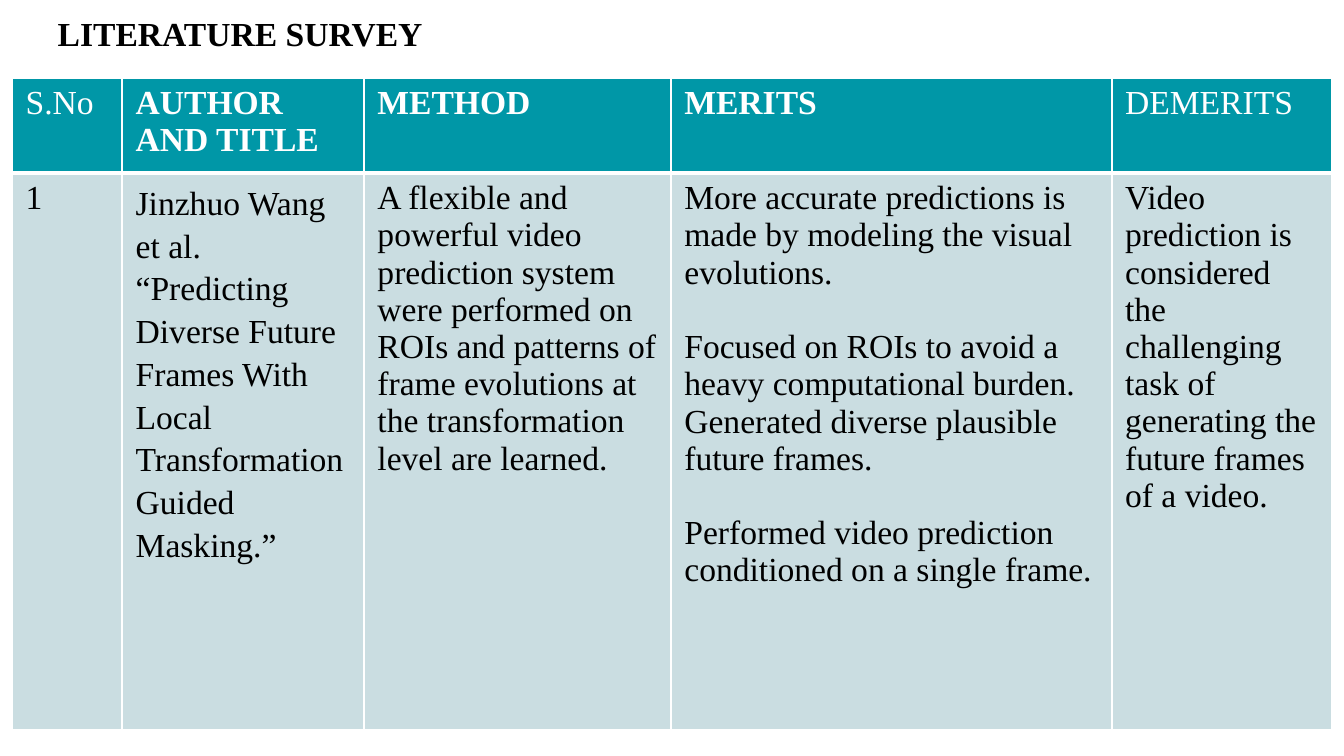
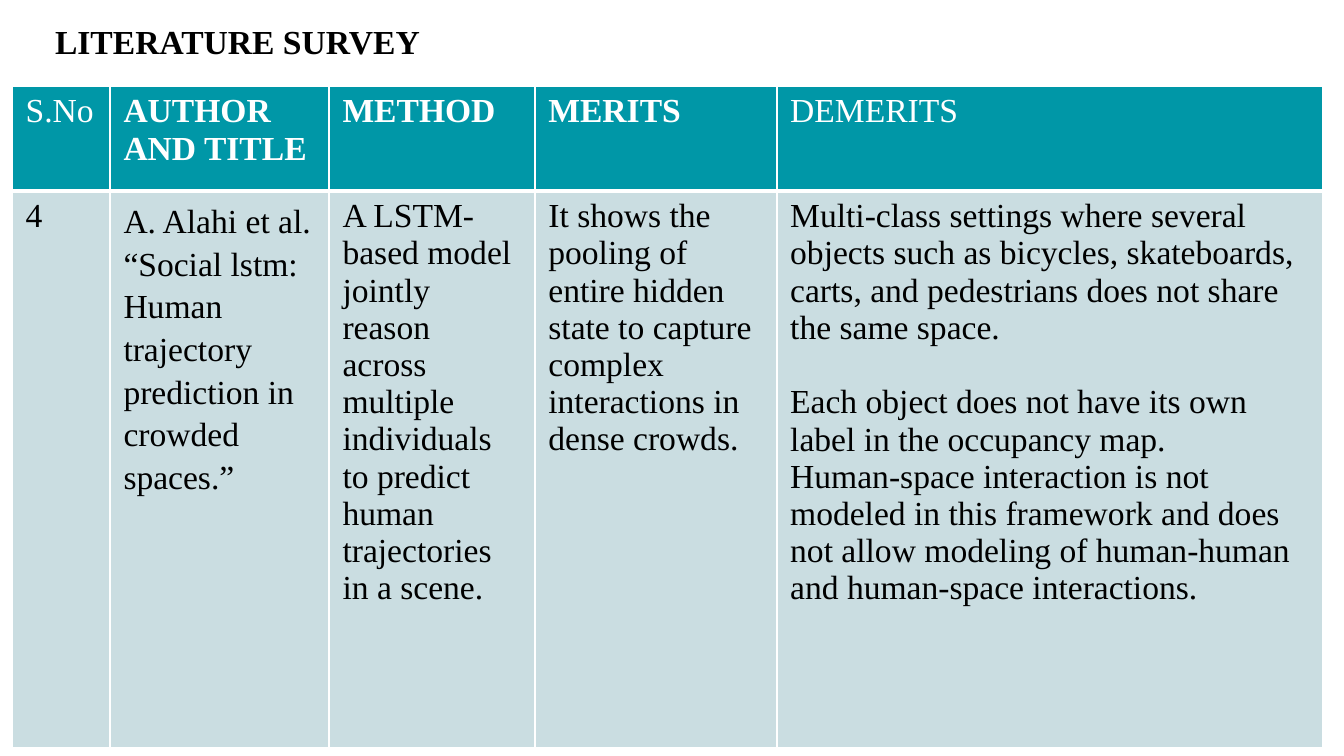
from pptx import Presentation
from pptx.dml.color import RGBColor
from pptx.enum.text import MSO_ANCHOR, MSO_AUTO_SIZE, PP_ALIGN
from pptx.oxml import parse_xml
from pptx.oxml.ns import nsdecls
from pptx.util import Cm, Pt

INK = {"text": "000000", "light": "FFFFFF", "head": "0097A7", "body": "CADDE1"}
FONT = "Times New Roman"
SIZE = Pt(18)
GAP = Pt(20)
LEFT = Cm(0.23)
INSET = Cm(0.25)
DEEP = Cm(10.52)
TITLE = "LITERATURE SURVEY"
# Column heading and whether it is bold
HEADS = [
    ("S.No", False),
    ("AUTHOR AND TITLE", True),
    ("METHOD", True),
    ("MERITS", True),
    ("DEMERITS", False),
]
AUTHOR = 1

# In a cell, one line break starts a paragraph and two start a spaced block.
PAGES = [
    {
        "title": (0.84, 0, 23.67, 1.04),
        "top": 1.47,
        "head": 1.8,
        "cols": (2.08, 4.57, 5.8, 8.33, 4.15),
        "cells": [
            "1",
            "Jinzhuo Wang et al.\n"
            "“Predicting Diverse Future Frames With Local "
            "Transformation Guided Masking.”",
            "A flexible and powerful video prediction system were performed "
            "on ROIs and patterns of frame evolutions at\n"
            "the transformation level are learned.",
            "More accurate predictions is made by modeling the visual "
            "evolutions.\n\n"
            "Focused on ROIs to avoid a heavy computational burden.\n"
            "Generated diverse plausible future frames.\n\n"
            "Performed video prediction conditioned on a single frame.",
            "Video prediction is considered the challenging task of "
            "generating the future frames of a video.",
        ],
    },
    {
        "title": (0.79, 0.15, 23.67, 1.19),
        "top": 1.63,
        "head": 1.98,
        "cols": (1.85, 4.14, 3.89, 4.57, 10.31),
        "cells": [
            "4",
            "A. Alahi et al. “Social lstm: Human trajectory prediction in "
            "crowded spaces.”",
            "A LSTM-based model jointly reason across multiple individuals "
            "to predict human trajectories in a scene.",
            "It shows the pooling of entire hidden state to capture complex "
            "interactions in dense crowds.",
            "Multi-class settings where several objects such as bicycles, "
            "skateboards, carts, and pedestrians does not share the same "
            "space.\n\n"
            "Each object does not have its own label in the occupancy map.\n"
            "Human-space interaction is not modeled in this framework and "
            "does not allow modeling of human-human and human-space "
            "interactions.",
        ],
    },
]


def add_run(para, text, tint, bold):
    run = para.add_run()
    run.text = text
    run.font.name = FONT
    run.font.size = SIZE
    run.font.bold = bold
    run.font.color.rgb = RGBColor.from_string(INK[tint])


def add_title(slide, box):
    shape = slide.shapes.title
    shape.left, shape.top, shape.width, shape.height = map(Cm, box)
    frame = shape.text_frame
    frame.margin_left = frame.margin_right = INSET
    frame.margin_top = frame.margin_bottom = INSET
    frame.vertical_anchor = MSO_ANCHOR.TOP
    frame.auto_size = MSO_AUTO_SIZE.NONE
    frame.word_wrap = True
    para = frame.paragraphs[0]
    para.alignment = PP_ALIGN.LEFT
    add_run(para, TITLE, "text", True)


def add_lines(cell, top, base):
    """Draw the cell borders; top and base are widths in points."""
    props = cell._tc.get_or_add_tcPr()
    for side, width in (("L", 1), ("R", 1), ("T", top), ("B", base)):
        props.append(parse_xml(
            f'<a:ln{side} {nsdecls("a")} w="{Pt(width)}"><a:solidFill>'
            f'<a:srgbClr val="{INK["light"]}"/></a:solidFill></a:ln{side}>'
        ))


def paint(cell, tint):
    cell.fill.solid()
    cell.fill.fore_color.rgb = RGBColor.from_string(INK[tint])


def fill_head(cell, text, bold):
    add_lines(cell, 1, 3)
    paint(cell, "head")
    add_run(cell.text_frame.paragraphs[0], text, "light", bold)


def fill_body(cell, text, space):
    add_lines(cell, 3, 1)
    paint(cell, "body")
    frame = cell.text_frame
    para = frame.paragraphs[0]
    for i, block in enumerate(text.split("\n\n")):
        for j, line in enumerate(block.split("\n")):
            if i or j:
                para = frame.add_paragraph()
            if i and not j:
                para.space_before = GAP
            if space:
                para.line_spacing = space
            add_run(para, line, "text", False)


def add_grid(slide, page):
    cols = page["cols"]
    head = Cm(page["head"])
    table = slide.shapes.add_table(
        2, len(cols), LEFT, Cm(page["top"]), Cm(sum(cols)), head + DEEP
    ).table
    table.horz_banding = False
    table.rows[0].height = head
    table.rows[1].height = DEEP
    for i, (wide, (name, bold), text) in enumerate(
        zip(cols, HEADS, page["cells"])
    ):
        table.columns[i].width = Cm(wide)
        fill_head(table.cell(0, i), name, bold)
        fill_body(table.cell(1, i), text, 1.15 if i == AUTHOR else None)


def main():
    deck = Presentation()
    deck.slide_width, deck.slide_height = Cm(25.4), Cm(14.29)
    for page in PAGES:
        slide = deck.slides.add_slide(deck.slide_layouts[5])
        add_title(slide, page["title"])
        add_grid(slide, page)
    deck.save("out.pptx")


if __name__ == "__main__":
    main()
